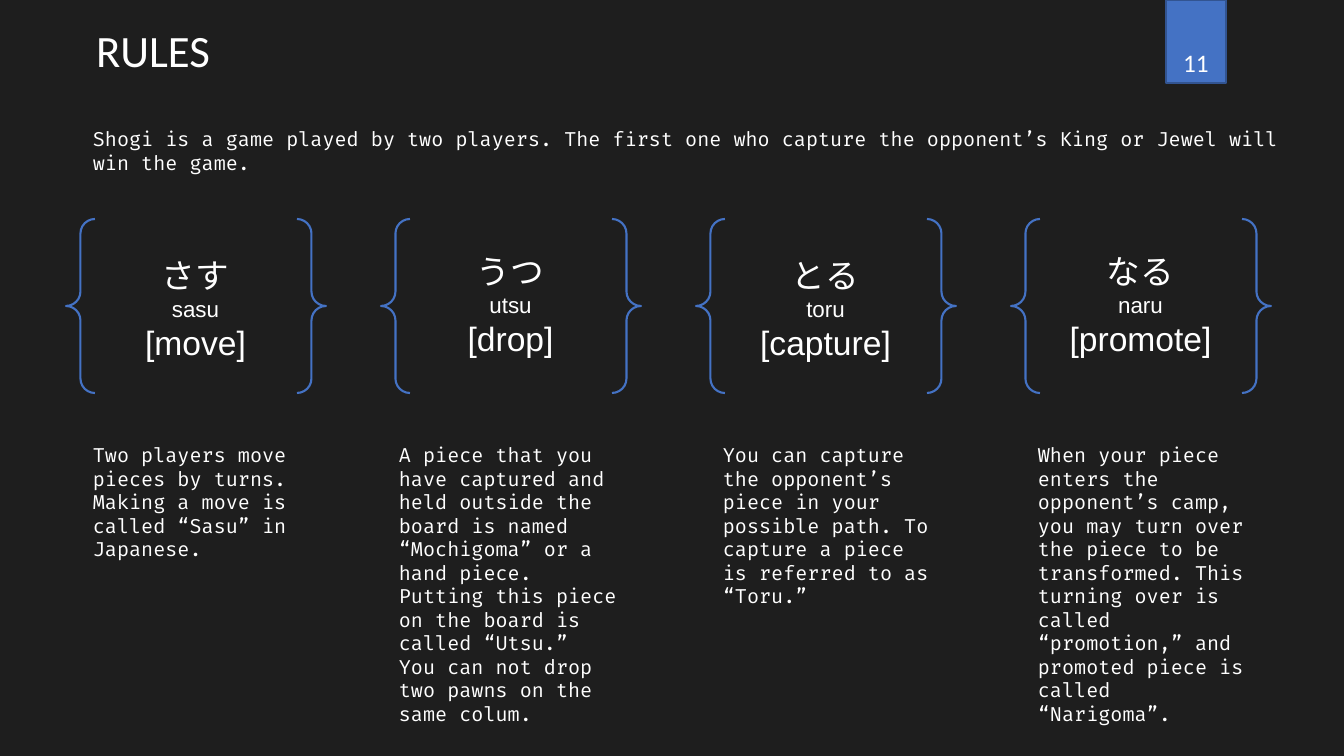
from pptx import Presentation
from pptx.dml.color import RGBColor
from pptx.enum.shapes import MSO_SHAPE
from pptx.enum.text import MSO_ANCHOR, PP_ALIGN
from pptx.util import Pt

RECTANGLE, BRACES = MSO_SHAPE.RECTANGLE, MSO_SHAPE.DOUBLE_BRACE
TOP, BOTTOM = MSO_ANCHOR.TOP, MSO_ANCHOR.BOTTOM
LEFT, CENTER = PP_ALIGN.LEFT, PP_ALIGN.CENTER

# Content
TITLE = "RULES"
PAGE = "11"
INTRO = ("Shogi is a game played by two players. The first one who capture "
         "the opponent’s King or Jewel will win the game.")
# kana, reading, meaning, label top, text left, text width, text height, paragraphs
MOVES = [
    ("さす", "sasu", "[move]", 250, 83, 226, 129,
     ["Two players move pieces by turns. Making a move is called “Sasu” in Japanese."]),
    ("うつ", "utsu", "[drop]", 246, 389, 243, 295,
     ["A piece that you have captured and held outside the board is named "
      "“Mochigoma” or a hand piece. Putting this piece on the board is called “Utsu.”",
      "You can not drop two pawns on the same colum."]),
    ("とる", "toru", "[capture]", 250, 713, 226, 176,
     ["You can capture the opponent’s piece in your possible path. "
      "To capture a piece is referred to as “Toru.”"]),
    ("なる", "naru", "[promote]", 246, 1028, 226, 295,
     ["When your piece enters the opponent’s camp, you may turn over the piece to be "
      "transformed. This turning over is called “promotion,” and promoted piece is "
      "called “Narigoma”."]),
]

# Style and layout
COLORS = {"background": "1E1E1E", "accent": "4472C4", "edge": "325491", "text": "FFFFFF"}
EMU_PER_PX = 914400 / 100.8
BRACE_LEFT, BRACE_TOP, BRACE_WIDTH, BRACE_HEIGHT = 66, 219, 260, 174
COLUMN_STEP = 315
LABEL_INSET, LABEL_WIDTH, LABEL_HEIGHT = 45, 169, 119
TEXT_TOP = 438


def px(*lengths):
    return [round(length * EMU_PER_PX) for length in lengths]


def color(name):
    return RGBColor.from_string(COLORS[name])


def write(shape, lines, sizes, font, align=LEFT, anchor=TOP, wrap=True):
    frame = shape.text_frame
    frame.text = "\n".join(lines)
    frame.word_wrap = wrap
    frame.vertical_anchor = anchor
    for paragraph, size in zip(frame.paragraphs, sizes):
        paragraph.alignment = align
        paragraph.font.size = Pt(size)
        paragraph.font.name = font
        paragraph.font.color.rgb = color("text")


def add_text(slide, box, lines, sizes, font, align=LEFT):
    write(slide.shapes.add_textbox(*px(*box)), lines, sizes, font, align)


def add_outline(slide, kind, box, line, width):
    shape = slide.shapes.add_shape(kind, *px(*box))
    shape.shadow.inherit = False
    shape.fill.background()
    shape.line.color.rgb = color(line)
    shape.line.width = Pt(width)
    return shape


def main():
    presentation = Presentation()
    presentation.slide_width, presentation.slide_height = px(1344, 756)
    slide = presentation.slides.add_slide(presentation.slide_layouts[5])
    slide.background.fill.solid()
    slide.background.fill.fore_color.rgb = color("background")

    # Page tab
    tab = add_outline(slide, RECTANGLE, (1166, 0, 60, 83), "edge", 1)
    tab.fill.solid()
    tab.fill.fore_color.rgb = color("accent")
    write(tab, [PAGE], [18], "Calibri", CENTER, BOTTOM)

    # Title and introduction
    title = slide.shapes.title
    title.left, title.top, title.width, title.height = px(86, 18, 135, 65)
    write(title, [TITLE], [32], "Calibri", wrap=False)
    add_text(slide, (83, 122, 1211, 57), [INTRO], [14], "Fira Code")

    # One column per kind of move
    for index, move in enumerate(MOVES):
        kana, reading, meaning, label_top, text_left, width, height, lines = move
        left = BRACE_LEFT + index * COLUMN_STEP
        add_outline(slide, BRACES, (left, BRACE_TOP, BRACE_WIDTH, BRACE_HEIGHT),
                    "accent", 1.5)
        add_text(slide, (left + LABEL_INSET, label_top, LABEL_WIDTH, LABEL_HEIGHT),
                 [kana, reading, meaning], [24, 16, 24], "Arial", CENTER)
        add_text(slide, (text_left, TEXT_TOP, width, height),
                 lines, [14] * len(lines), "Fira Code")

    presentation.save("out.pptx")


if __name__ == "__main__":
    main()
